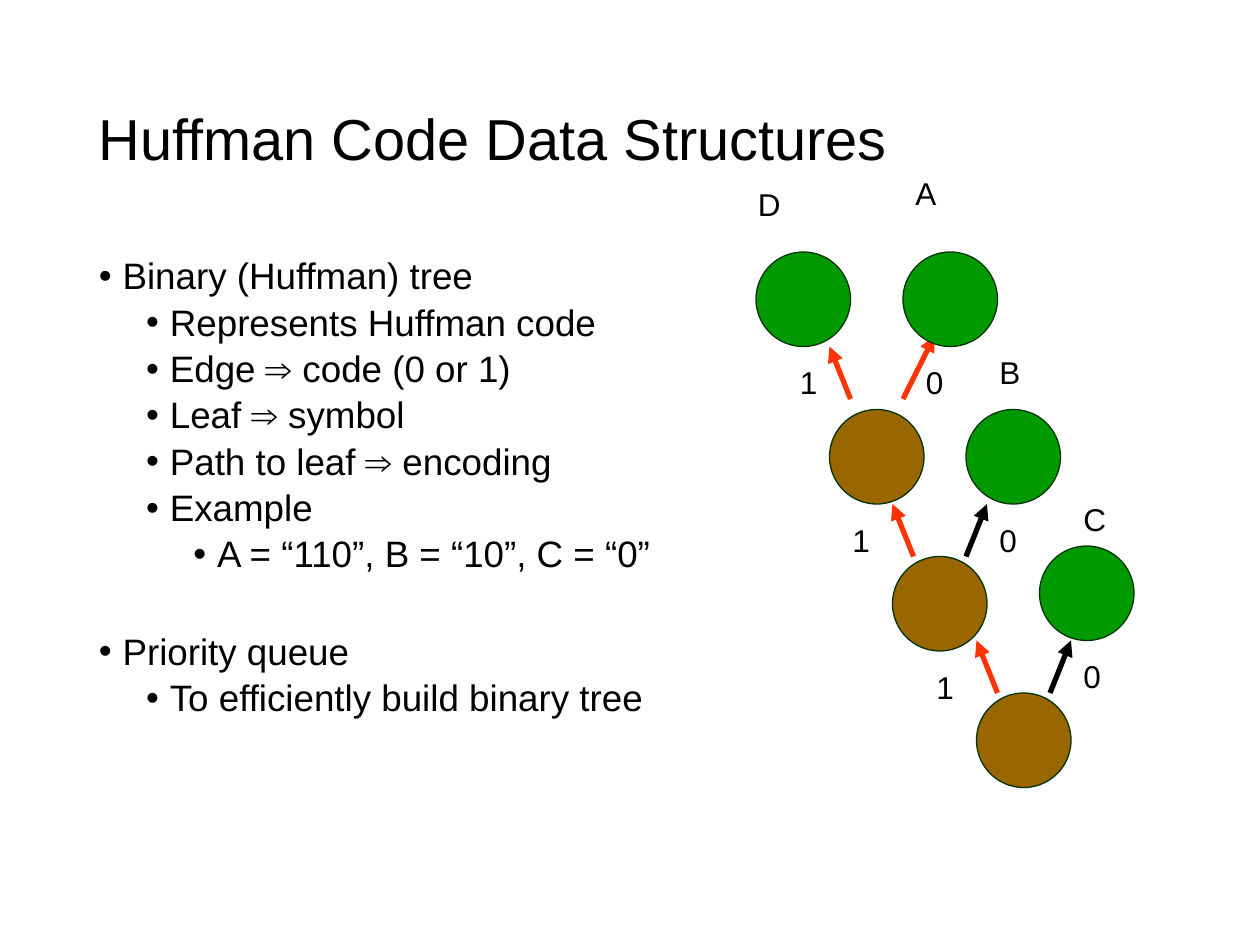
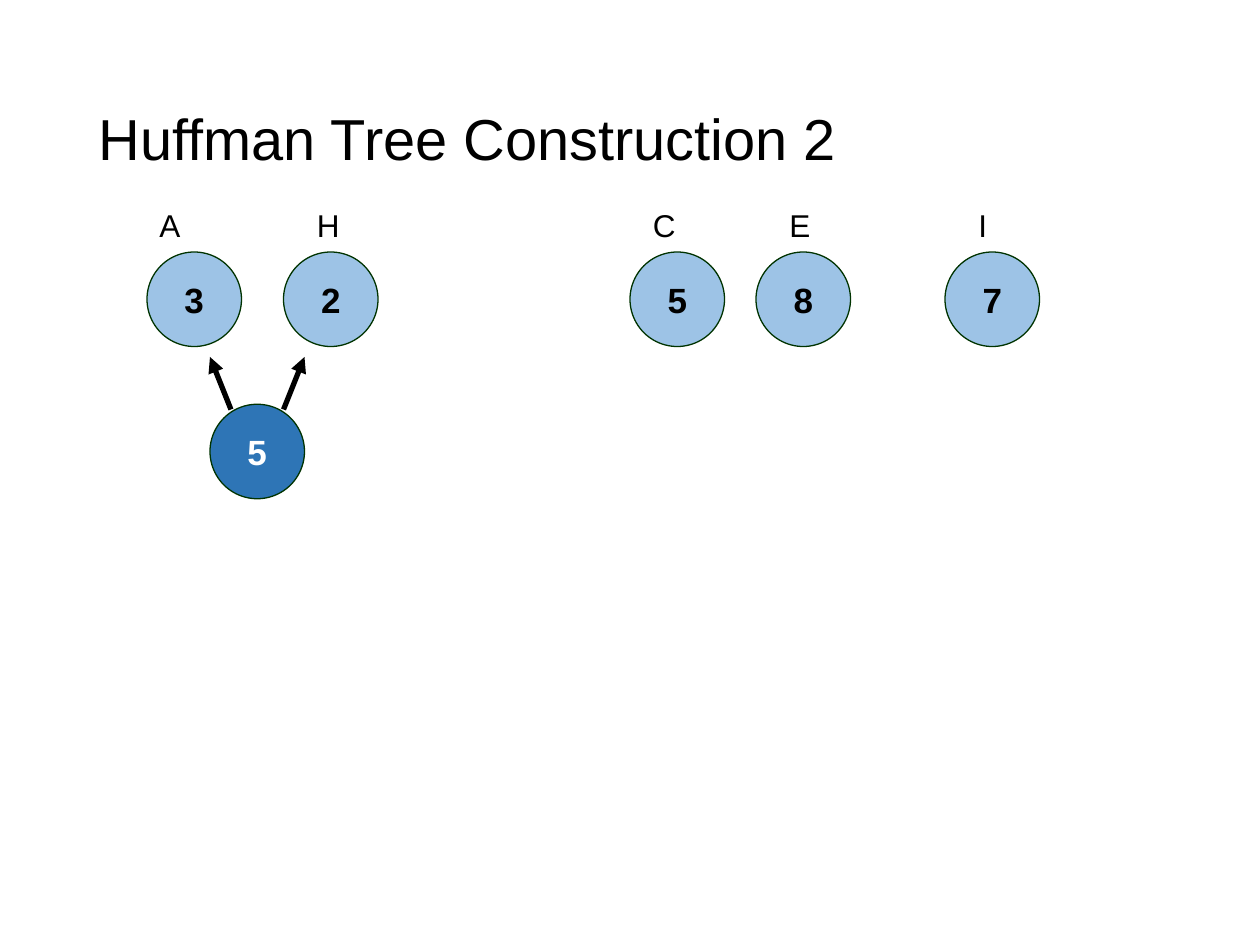
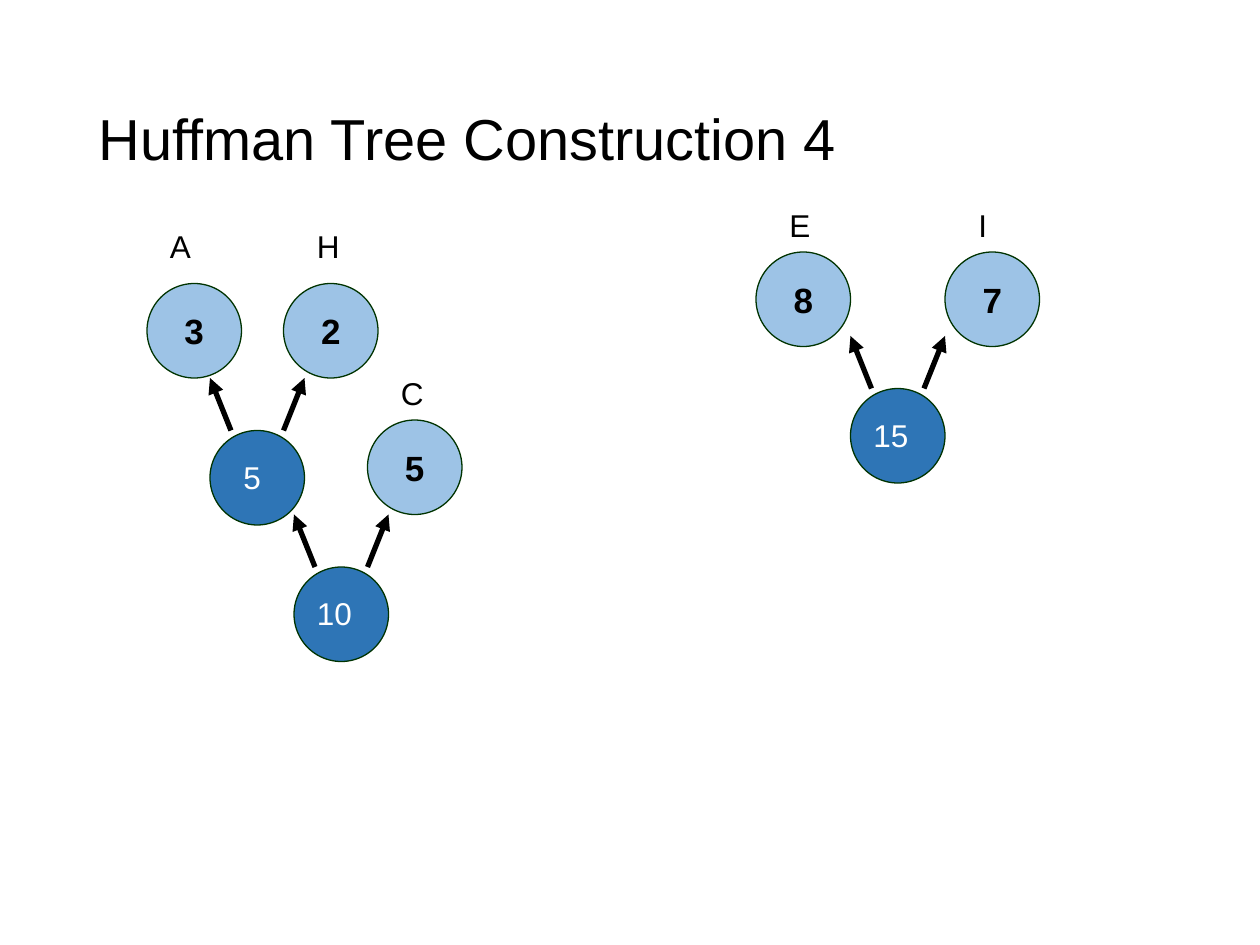
from lxml import etree
from pptx import Presentation
from pptx import util as u
from pptx.dml.color import RGBColor
from pptx.enum import shapes, text
from pptx.oxml import ns

# Colours
BLACK = RGBColor(0x00, 0x00, 0x00)
WHITE = RGBColor(0xFF, 0xFF, 0xFF)
GREEN = RGBColor(0x00, 0x99, 0x00)
BROWN = RGBColor(0x99, 0x66, 0x00)
RED = RGBColor(0xFF, 0x33, 0x00)
LIGHT = RGBColor(0x9D, 0xC3, 0xE6)
DEEP = RGBColor(0x2E, 0x75, 0xB6)
EDGE = RGBColor(0x00, 0x33, 0x00)

# Grid of 120 columns by 90 rows
COLS, ROWS = 120, 90
LEFT, SPAN = 8.25, 103.5
NODE = 9
WIDTHS = {"E": 5, "I": 3.5}


class Deck:
    font = "Arial"

    def __init__(self):
        self.prs = Presentation()
        self.prs.slide_width = u.Inches(10)
        self.prs.slide_height = u.Inches(7.5)

    def grid(self, *vals):
        """Turn column, row, column, row ... into lengths."""
        units = (self.prs.slide_width / COLS, self.prs.slide_height / ROWS)
        return [u.Emu(round(v * units[i % 2])) for i, v in enumerate(vals)]

    def slide(self, title):
        self.page = self.prs.slides.add_slide(self.prs.slide_layouts[6])
        frame = self.box(LEFT, 4.8, SPAN, 17.4)
        frame.vertical_anchor = text.MSO_ANCHOR.MIDDLE
        para = frame.paragraphs[0]
        para.line_spacing = 0.9
        self.run(para, title, 33)

    def box(self, x, y, w, h):
        frame = self.page.shapes.add_textbox(*self.grid(x, y, w, h)).text_frame
        frame.word_wrap = True
        return frame

    def run(self, para, words, size, color=BLACK, bold=False):
        run = para.add_run()
        run.text = words
        font = run.font
        font.name, font.size, font.bold = self.font, u.Pt(size), bold
        font.color.rgb = color

    def list(self, items):
        """Bulleted list of (level, space before, words)."""
        frame = self.box(LEFT, 24, SPAN, 57)
        for i, (level, gap, words) in enumerate(items):
            para = frame.add_paragraph() if i else frame.paragraphs[0]
            para.level = level
            para.line_spacing = 0.9
            if i:
                para.space_before = u.Pt(gap)
            props = para._p.get_or_add_pPr()
            props.set("marL", str(u.Pt(13.5 + 27 * level)))
            props.set("indent", str(-u.Pt(13.5)))
            etree.SubElement(props, ns.qn("a:buFont")).set("typeface", self.font)
            etree.SubElement(props, ns.qn("a:buChar")).set("char", "•")
            self.run(para, words, 21)

    def label(self, x, y, words, color=BLACK):
        digits = 2.5 + 2.15 * len(words)
        wide = digits if words.isdigit() else WIDTHS.get(words, 5.3)
        frame = self.box(x, y, wide, 6)
        frame.word_wrap = False
        frame.auto_size = text.MSO_AUTO_SIZE.SHAPE_TO_FIT_TEXT
        self.run(frame.paragraphs[0], words, 18, color)

    def node(self, x, y, fill, words="", color=BLACK):
        oval = self.page.shapes.add_shape(
            shapes.MSO_SHAPE.OVAL, *self.grid(x, y, NODE, NODE))
        oval.shadow.inherit = False
        oval.fill.solid()
        oval.fill.fore_color.rgb = fill
        oval.line.color.rgb = EDGE
        oval.line.width = u.Pt(0.75)
        if words:
            frame = oval.text_frame
            frame.word_wrap = False
            frame.vertical_anchor = text.MSO_ANCHOR.MIDDLE
            frame.paragraphs[0].alignment = text.PP_ALIGN.CENTER
            self.run(frame.paragraphs[0], words, 20, color, True)

    def arrow(self, x1, y1, x2, y2, color):
        line = self.page.shapes.add_connector(
            shapes.MSO_CONNECTOR.STRAIGHT, *self.grid(x1, y1, x2, y2))
        line.line.color.rgb = color
        line.line.width = u.Pt(3)
        head = etree.SubElement(line.line._get_or_add_ln(), ns.qn("a:tailEnd"))
        head.set("type", "triangle")
        etree.SubElement(line._element.spPr, ns.qn("a:effectLst"))

    def fork(self, x, y, left=BLACK, right=BLACK, tip=(9, -5)):
        """Two arrows up from a node whose corner is near x, y."""
        self.arrow(x + 2, y, x, y - 5, left)
        self.arrow(x + 7, y, x + tip[0], y + tip[1], right)

    def leaf(self, x, y, name, count, dx, dy=-5):
        self.node(x, y, LIGHT, count)
        self.label(x + dx, y + dy, name)

    def total(self, x, y, count):
        """Inner node with its sum and its two arrows."""
        self.fork(x, y)
        self.node(x, y, DEEP)
        self.label(x + 3 - len(count), y + 2, count, WHITE)


def main():
    deck = Deck()

    # Code tree
    deck.slide("Huffman Code Data Structures")
    deck.list([
        (0, 0, "Binary (Huffman) tree"),
        (1, 3.8, "Represents Huffman code"),
        (1, 3.8, "Edge ⇒ code (0 or 1)"),
        (1, 3.8, "Leaf ⇒ symbol"),
        (1, 3.8, "Path to leaf ⇒ encoding"),
        (1, 3.8, "Example"),
        (2, 3.8, "A = “110”, B = “10”, C = “0”"),
        (0, 33, "Priority queue"),
        (1, 3.8, "To efficiently build binary tree"),
    ])
    deck.fork(79, 38, RED, RED, (10, -6))
    for x, y in [(85, 53), (93, 66)]:
        deck.fork(x, y, RED)
    for x, y in [(79, 39), (85, 53), (93, 66)]:
        deck.node(x, y, BROWN)
    for x, y in [(72, 24), (86, 24), (92, 39), (99, 52)]:
        deck.node(x, y, GREEN)
    for x, y, words in [(71, 17, "D"), (86, 16, "A"), (94, 33, "B"),
                        (102, 47, "C"), (75, 34, "1"), (87, 34, "0"),
                        (80, 49, "1"), (94, 49, "0"),
                        (88, 63, "1"), (102, 62, "0")]:
        deck.label(x, y, words)

    # First merge
    deck.slide("Huffman Tree Construction 2")
    for x, name, count, dx in [(14, "A", "3", 0), (27, "H", "2", 2),
                               (60, "C", "5", 1), (72, "E", "8", 2),
                               (90, "I", "7", 2)]:
        deck.leaf(x, 24, name, count, dx)
    deck.fork(20, 39)
    deck.node(20, 38.5, DEEP, "5", WHITE)

    # Two trees
    deck.slide("Huffman Tree Construction 4")
    deck.leaf(14, 27, "A", "3", 1, -6)
    deck.leaf(27, 27, "H", "2", 2, -6)
    deck.leaf(35, 40, "C", "5", 2)
    deck.leaf(72, 24, "E", "8", 2)
    deck.leaf(90, 24, "I", "7", 2)
    for x, y, count in [(20, 41, "5"), (28, 54, "10"), (81, 37, "15")]:
        deck.total(x, y, count)

    deck.prs.save("out.pptx")


if __name__ == "__main__":
    main()
